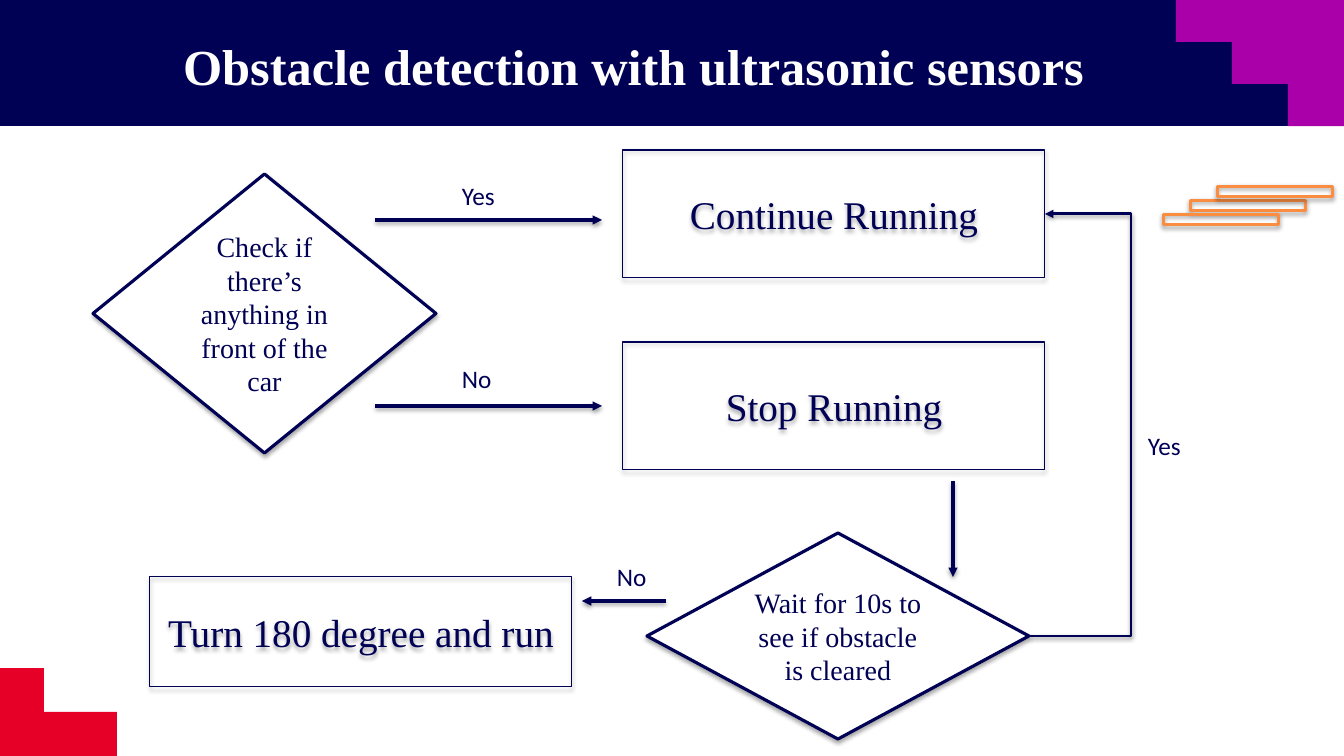
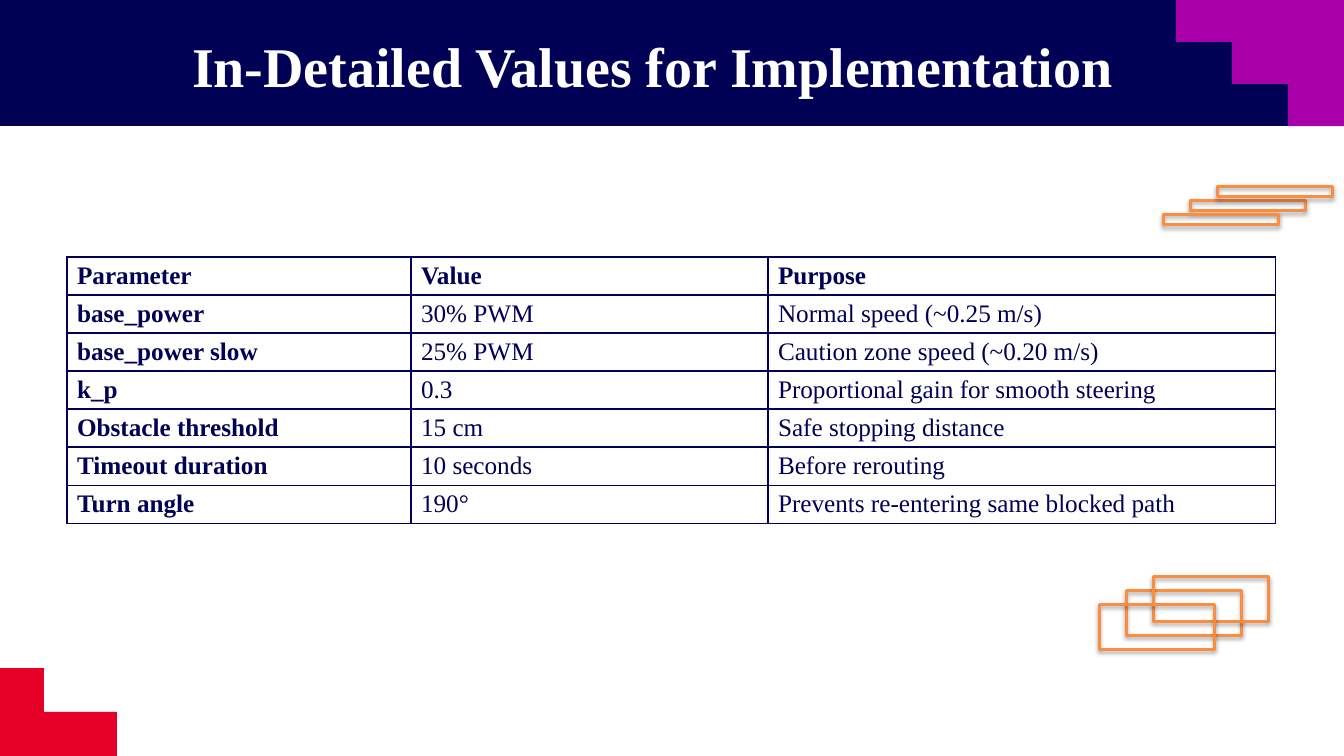
from dataclasses import dataclass

from lxml.etree import SubElement
from pptx import Presentation
from pptx.dml.color import RGBColor
from pptx.enum.shapes import MSO_CONNECTOR, MSO_SHAPE
from pptx.enum.text import MSO_ANCHOR, MSO_AUTO_SIZE, PP_ALIGN
from pptx.oxml.ns import qn
from pptx.util import Pt

WIDE, HIGH = 1344, 756
SCALE = 12192000 / WIDE  # EMU in one px


@dataclass(frozen=True)
class Theme:
    navy: str = "000054"
    red: str = "E60028"
    plum: str = "AA00AA"
    gold: str = "FB8D41"
    white: str = "FFFFFF"
    serif: str = "Times New Roman"
    sans: str = "Calibri"
    head: int = 40
    box: int = 28
    test: int = 20
    note: int = 18


T = Theme()

ROWS = [
    ("Parameter", "Value", "Purpose"),
    ("base_power", "30% PWM", "Normal speed (~0.25 m/s)"),
    ("base_power slow", "25% PWM", "Caution zone speed (~0.20 m/s)"),
    ("k_p", "0.3", "Proportional gain for smooth steering"),
    ("Obstacle threshold", "15 cm", "Safe stopping distance"),
    ("Timeout duration", "10 seconds", "Before rerouting"),
    ("Turn angle", "190°", "Prevents re-entering same blocked path"),
]


def px(*nums):
    return [round(n * SCALE) for n in nums]


def rgb(code):
    return RGBColor.from_string(code)


# Text and effects
def write(frame, words, size=T.note, font=T.serif, color=T.navy, bold=False,
          align=PP_ALIGN.LEFT):
    frame.word_wrap = True
    para = frame.paragraphs[0]
    para.alignment = align
    run = para.add_run()
    run.text = words
    run.font.size, run.font.name, run.font.bold = Pt(size), font, bold
    run.font.color.rgb = rgb(color)


def shade(item, dist=23000, alpha=35000):
    props = item.element.spPr
    effects = props.find(qn("a:effectLst"))
    if effects is None:
        effects = SubElement(props, qn("a:effectLst"))
    drop = SubElement(effects, qn("a:outerShdw"), blurRad="40000", dist=str(dist),
                      dir="5400000", rotWithShape="0")
    tint = SubElement(drop, qn("a:srgbClr"), val="000000")
    SubElement(tint, qn("a:alpha"), val=str(alpha))


# Shapes
def paint(item, fill=None, line=None, width=2.25):
    if fill:
        item.fill.solid()
        item.fill.fore_color.rgb = rgb(fill)
    else:
        item.fill.background()
    if line:
        item.line.color.rgb = rgb(line)
        item.line.width = Pt(width)
    else:
        item.line.fill.background()
    item.shadow.inherit = False
    return item


def shape(slide, kind, area, **look):
    return paint(slide.shapes.add_shape(kind, *px(*area)), **look)


def node(slide, kind, area, words, size, **look):
    item = shape(slide, kind, area, line=T.navy, **look)
    shade(item)
    item.text_frame.vertical_anchor = MSO_ANCHOR.MIDDLE
    write(item.text_frame, words, size=size, align=PP_ALIGN.CENTER)
    return item


def box(slide, area, words):
    return node(slide, MSO_SHAPE.RECTANGLE, area, words, T.box, width=0.75)


def test(slide, area, words):
    return node(slide, MSO_SHAPE.FLOWCHART_DECISION, area, words, T.test, fill=T.white)


def label(slide, x, y, words):
    item = slide.shapes.add_textbox(*px(x, y, 89, 40))
    write(item.text_frame, words, font=T.sans)


def arrow(slide, ends, kind=MSO_CONNECTOR.STRAIGHT, width=2.25):
    item = slide.shapes.add_connector(kind, *px(*ends))
    item.line.color.rgb = rgb(T.navy)
    item.line.width = Pt(width)
    SubElement(item.element.spPr.find(qn("a:ln")), qn("a:tailEnd"), type="triangle")
    shade(item, dist=20000, alpha=38000)
    return item


def loop(slide, start, end, ends, bend):
    """Elbow arrow between two right sides, turning at x = bend."""
    item = arrow(slide, ends, MSO_CONNECTOR.ELBOW, 2)
    item.begin_connect(start, 3)
    item.end_connect(end, 3)
    turn = round((bend - ends[0]) / (ends[2] - ends[0]) * 100000)
    geom = item.element.spPr.find(qn("a:prstGeom"))
    SubElement(geom.find(qn("a:avLst")), qn("a:gd"), name="adj1", fmla=f"val {turn}")


def bars(slide, x, y, high):
    for i in (1, 2, 0):
        area = (x + 27 * i, y - 14 * i, 156, high)
        shade(shape(slide, MSO_SHAPE.MATH_MINUS, area, line=T.gold))


# Table
def grid(slide, x, y, cols, high, rows):
    table = slide.shapes.add_table(
        len(rows), len(cols), *px(x, y, sum(cols), high * len(rows))).table
    table.first_row = table.horz_banding = False
    for col, wide in zip(table.columns, px(*cols)):
        col.width = wide
    for r, row in enumerate(rows):
        for c, words in enumerate(row):
            cell = table.cell(r, c)
            cell.vertical_anchor = MSO_ANCHOR.MIDDLE
            write(cell.text_frame, words, bold=r == 0 or c == 0)
            edge(cell)
            cell.fill.background()


def edge(cell):
    props = cell._tc.get_or_add_tcPr()
    for side in ("lnL", "lnR", "lnT", "lnB"):
        line = SubElement(props, qn(f"a:{side}"), w="12700")
        fill = SubElement(line, qn("a:solidFill"))
        SubElement(fill, qn("a:srgbClr"), val=T.navy)


# Shared band and corners, kept on the layout
def dress(layout, slide):
    for hold in list(layout.placeholders):
        if hold.placeholder_format.idx >= 10:
            hold.element.getparent().remove(hold.element)
    step = 56
    stair = slide.shapes.build_freeform(WIDE - 3 * step, 0, scale=SCALE)
    stair.add_line_segments([
        (WIDE, 0), (WIDE, 126), (WIDE - step, 126), (WIDE - step, 84),
        (WIDE - 2 * step, 84), (WIDE - 2 * step, 42), (WIDE - 3 * step, 42)])
    parts = [
        shape(slide, MSO_SHAPE.RECTANGLE, (0, 0, WIDE, 126), fill=T.navy),
        shape(slide, MSO_SHAPE.CORNER, (0, HIGH - 88, 117, 88), fill=T.red),
        paint(stair.convert_to_shape(), fill=T.plum),
    ]
    for i, part in enumerate(parts):
        layout.shapes.element.insert(2 + i, part.element)


def title(slide, x, words, size):
    item = slide.shapes.title
    item.left, item.top, item.width, item.height = px(x, 17, 1210, 96)
    item.text_frame.vertical_anchor = MSO_ANCHOR.MIDDLE
    item.text_frame.auto_size = MSO_AUTO_SIZE.NONE
    write(item.text_frame, words, size=size, color=T.white, bold=True)
    bars(slide, 1143, 197, 45)


# Slides
def flow(slide):
    title(slide, 173, "Obstacle detection with ultrasonic sensors", T.head - 4)
    test(slide, (93, 174, 343, 279), "Check if there’s anything in front of the car")
    go = box(slide, (623, 150, 422, 128), "Continue Running")
    box(slide, (623, 342, 422, 128), "Stop Running")
    wait = test(slide, (647, 533, 382, 206), "Wait for 10s to see if obstacle is cleared")
    box(slide, (150, 577, 422, 110), "Turn 180 degree and run")
    for ends in ((375, 220, 602, 220), (375, 406, 602, 406),
                 (953, 481, 953, 577), (666, 601, 582, 601)):
        arrow(slide, ends)
    loop(slide, wait, go, (1029, 636, 1045, 214), 1131)
    for x, y, words in ((452, 175, "Yes"), (452, 358, "No"),
                        (607, 556, "No"), (1138, 425, "Yes")):
        label(slide, x, y, words)


def values(slide):
    title(slide, 182, "In-Detailed Values for Implementation", T.head)
    grid(slide, 67, 257, (344, 357, 508), 38, ROWS)
    bars(slide, 1079, 532, 190)


def main():
    deck = Presentation()
    deck.slide_width, deck.slide_height = px(WIDE, HIGH)
    layout = deck.slide_layouts.get_by_name("Title Only")
    first = deck.slides.add_slide(layout)
    dress(layout, first)
    flow(first)
    values(deck.slides.add_slide(layout))
    deck.save("out.pptx")


if __name__ == "__main__":
    main()
